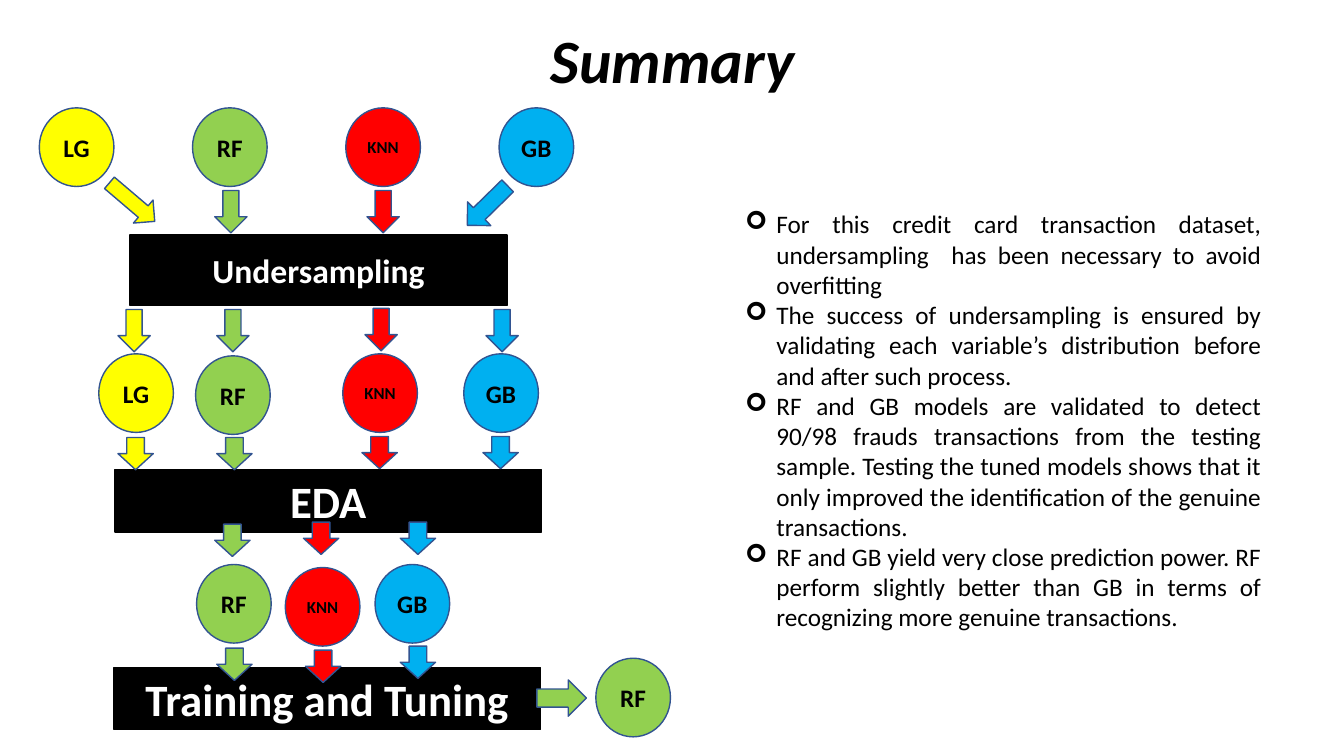
from dataclasses import dataclass, field

from lxml import etree
from pptx import Presentation
from pptx import util as u
from pptx.dml.color import RGBColor
from pptx.enum import shapes, text
from pptx.oxml.ns import qn


@dataclass
class Theme:
    font: str = "Calibri"
    ink: str = "000000"
    paper: str = "FFFFFF"
    outline: str = "325491"
    title_size: int = 44
    body_size: int = 18
    model_colors: dict = field(default_factory=lambda: {
        "LG": "FFFF00", "RF": "92D050", "KNN": "FF0000", "GB": "00B0F0"})
    model_sizes: dict = field(default_factory=lambda: {
        "LG": 18, "RF": 18, "KNN": 12, "GB": 18})


class SlideBuilder:
    def __init__(self, page, theme):
        self.page = page
        self.theme = theme

    def place(self, box, left, top, width, height):
        box.left, box.top = u.Inches(left), u.Inches(top)
        box.width, box.height = u.Inches(width), u.Inches(height)

    def style(self, para, size, color, align, bold=False, italic=False):
        para.alignment = align
        for span in para.runs:
            span.font.name = self.theme.font
            span.font.size = u.Pt(size)
            span.font.bold = bold
            span.font.italic = italic
            span.font.color.rgb = RGBColor.from_string(color)

    def shape(self, kind, left, top, width, height, fill, line):
        box = self.page.shapes.add_shape(
            kind, u.Inches(left), u.Inches(top), u.Inches(width), u.Inches(height))
        box.shadow.inherit = False
        box.fill.solid()
        box.fill.fore_color.rgb = RGBColor.from_string(fill)
        box.line.color.rgb = RGBColor.from_string(line)
        box.line.width = u.Pt(1)
        return box

    def label(self, box, words, size, color):
        frame = box.text_frame
        frame.text = words
        frame.vertical_anchor = text.MSO_ANCHOR.MIDDLE
        frame.margin_left = frame.margin_right = 0
        self.style(frame.paragraphs[0], size, color, text.PP_ALIGN.CENTER, bold=True)

    def title(self, words, *place):
        box = self.page.shapes.title
        self.place(box, *place)
        box.text_frame.text = words
        box.text_frame.vertical_anchor = text.MSO_ANCHOR.MIDDLE
        para = box.text_frame.paragraphs[0]
        para.line_spacing = 0.9
        self.style(para, self.theme.title_size, self.theme.ink,
                   text.PP_ALIGN.CENTER, bold=True, italic=True)

    def bullets(self, points, *place):
        box = self.page.placeholders[1]
        self.place(box, *place)
        frame = box.text_frame
        frame.text = "\n".join(points)
        frame.word_wrap = True
        frame.auto_size = text.MSO_AUTO_SIZE.NONE
        frame.vertical_anchor = text.MSO_ANCHOR.MIDDLE
        indent = u.Inches(0.31)
        for para in frame.paragraphs:
            para.space_before = para.space_after = u.Pt(0)
            para.line_spacing = 1.0
            self.style(para, self.theme.body_size, self.theme.ink, text.PP_ALIGN.JUSTIFY)
            props = para._p.get_or_add_pPr()
            props.set("marL", str(indent))
            props.set("indent", str(-indent))
            etree.SubElement(props, qn("a:buFont")).set("typeface", "Wingdings")
            etree.SubElement(props, qn("a:buChar")).set("char", "➢")

    def stage(self, words, size, *place):
        box = self.shape(shapes.MSO_SHAPE.RECTANGLE, *place, self.theme.ink, self.theme.ink)
        self.label(box, words, size, self.theme.paper)

    def model(self, name, left, top):
        box = self.shape(shapes.MSO_SHAPE.OVAL, left, top, 0.74, 0.78,
                         self.theme.model_colors[name], self.theme.outline)
        self.label(box, name, self.theme.model_sizes[name], self.theme.ink)

    def arrow(self, name, left, top, width, height, rotation=0):
        box = self.shape(shapes.MSO_SHAPE.DOWN_ARROW, left, top, width, height,
                         self.theme.model_colors[name], self.theme.outline)
        box.rotation = rotation


STAGES = [
    ("Undersampling", 24, 1.29, 2.33, 3.74, 0.7),
    ("EDA", 32, 1.14, 4.66, 4.23, 0.62),
    ("Training and Tuning", 32, 1.13, 6.62, 4.23, 0.62),
]
MODELS = [
    *[(name, 0.39 + 1.52 * column, 1.07)
      for column, name in enumerate(["LG", "RF", "KNN", "GB"])],
    ("LG", 0.98, 3.51), ("RF", 1.94, 3.53), ("KNN", 3.4, 3.51), ("GB", 4.6, 3.51),
    ("RF", 1.95, 5.6), ("KNN", 2.83, 5.63), ("GB", 3.72, 5.6),
    ("RF", 5.91, 6.53),
]
LONG_ARROWS = [
    ("RF", 2.13, 1.89), ("KNN", 3.64, 1.89),
    ("LG", 1.17, 3.07), ("RF", 2.15, 3.07), ("KNN", 3.62, 3.06), ("GB", 4.82, 3.07),
]
SHORT_ARROWS = [
    ("LG", 1.17, 4.34), ("RF", 2.15, 4.34), ("KNN", 3.59, 4.33), ("GB", 4.79, 4.33),
    ("RF", 2.13, 5.2), ("KNN", 3.01, 5.18), ("GB", 3.97, 5.18),
    ("RF", 2.15, 6.43), ("KNN", 3.03, 6.45), ("GB", 3.97, 6.41),
]
TURNED_ARROWS = [
    ("LG", 1.16, 1.71, 0.3, 0.59, 310.4),
    ("GB", 4.67, 1.76, 0.33, 0.56, 45.6),
    ("RF", 5.39, 6.68, 0.36, 0.49, 270),
]
FINDINGS = [
    "For this credit card transaction dataset, undersampling  has been necessary "
    "to avoid overfitting",
    "The success of undersampling is ensured by validating each variable’s "
    "distribution before and after such process.",
    "RF and GB models are validated to detect 90/98 frauds transactions from the "
    "testing sample. Testing the tuned models shows that it only improved the "
    "identification of the genuine transactions.",
    "RF and GB yield very close prediction power. RF perform slightly better than "
    "GB in terms of recognizing more genuine transactions.",
]


def main():
    deck = Presentation()
    deck.slide_width, deck.slide_height = u.Inches(13.33), u.Inches(7.5)
    page = deck.slides.add_slide(deck.slide_layouts[1])
    builder = SlideBuilder(page, Theme())

    builder.title("Summary", 0.92, 0.1, 11.5, 1.07)
    builder.bullets(FINDINGS, 7.29, 1.27, 5.32, 5.8)
    for stage in STAGES:
        builder.stage(*stage)
    for model in MODELS:
        builder.model(*model)
    for arrow in LONG_ARROWS:
        builder.arrow(*arrow, 0.32, 0.42)
    for arrow in SHORT_ARROWS:
        builder.arrow(*arrow, 0.35, 0.32)
    for arrow in TURNED_ARROWS:
        builder.arrow(*arrow)

    deck.save("out.pptx")


if __name__ == "__main__":
    main()
